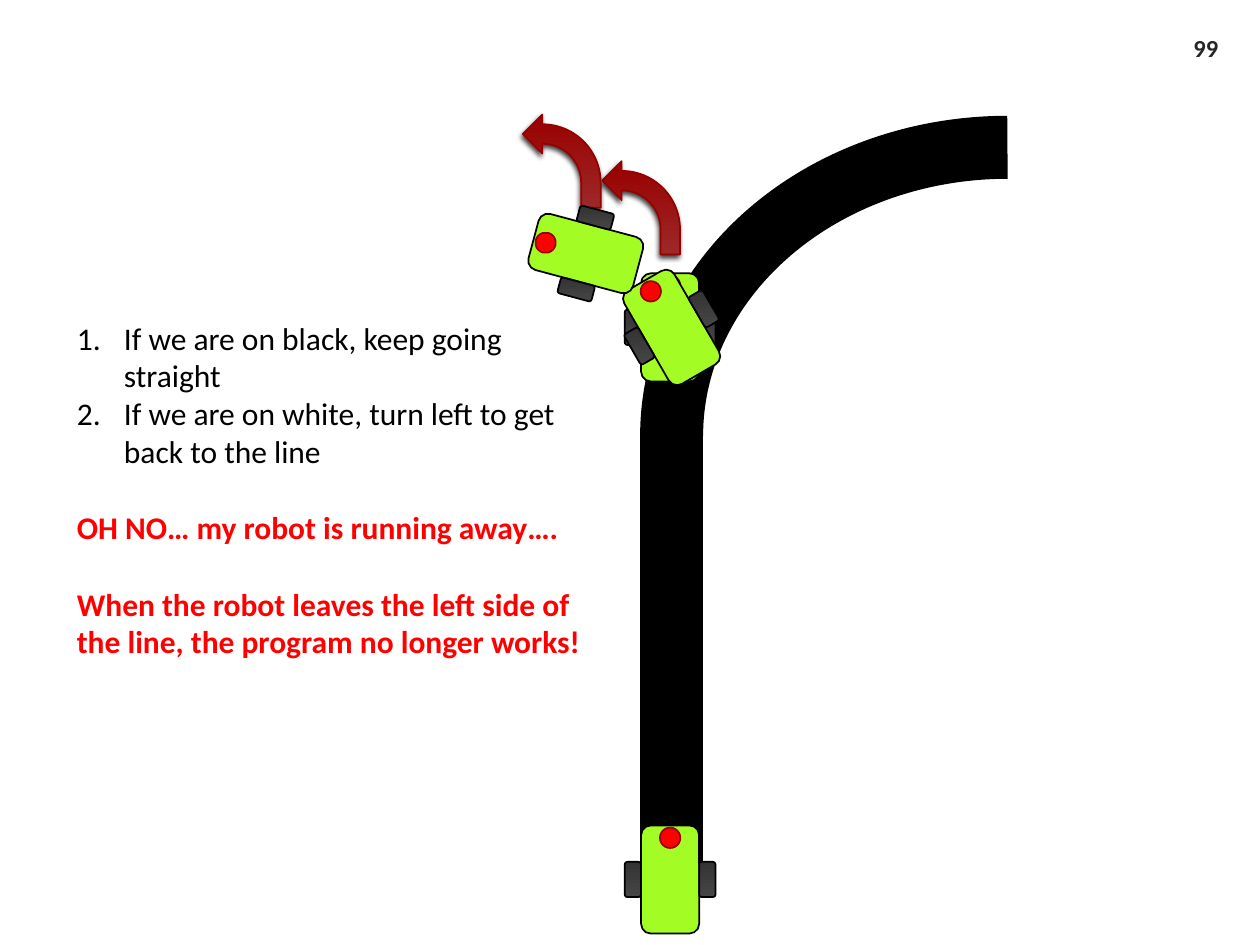
from lxml.etree import SubElement
from pptx import Presentation
from pptx.dml.color import RGBColor
from pptx.enum.shapes import MSO_CONNECTOR as CONN, MSO_SHAPE as SHAPE
from pptx.enum.text import MSO_ANCHOR as ANCHOR, MSO_AUTO_SIZE as AUTO, PP_ALIGN as ALIGN
from pptx.oxml.ns import qn
from pptx.util import Cm, Pt

BLACK = RGBColor(0x00, 0x00, 0x00)
RED = RGBColor(0xFF, 0x00, 0x00)
DARK_RED = RGBColor(0x96, 0x00, 0x00)
GREEN = RGBColor(0xA3, 0xFC, 0x24)
GREY = RGBColor(0x26, 0x26, 0x26)
WHEEL = (RGBColor(0x46, 0x46, 0x46), RGBColor(0x33, 0x33, 0x33))
ARROW = (RGBColor(0x9D, 0x28, 0x28), RGBColor(0x99, 0x00, 0x00))

TRACK_X = 13.54
ROBOTS = [(13.51, 17.73, 0), (13.51, 6.6, 0), (13.54, 6.6, 330), (11.81, 5.11, 285)]
TURNS = [(12.14, 3.25), (10.54, 2.31)]
RULES = [
    "If we are on black, keep going straight",
    "If we are on white, turn left to get back to the line",
]
WARNINGS = [
    "OH NO… my robot is running away….",
    "When the robot leaves the left side of the line, the program no longer works!",
]


def set_format(target, **values):
    for name, value in values.items():
        setattr(target, name, value)


def add_shape(shapes, kind, x, y, w, h, fill=None, line=BLACK, weight=1):
    sp = shapes.add_shape(kind, Cm(x), Cm(y), Cm(w), Cm(h))
    sp.shadow.inherit = False
    if fill is None:
        sp.fill.background()
    elif isinstance(fill, RGBColor):
        sp.fill.solid()
        sp.fill.fore_color.rgb = fill
    else:
        sp.fill.gradient()
        sp.fill.gradient_angle = 90
        for stop, color in zip(sp.fill.gradient_stops, fill):
            stop.color.rgb = color
    sp.line.color.rgb = line
    sp.line.width = Pt(weight)
    return sp


def flip(sp):
    sp._element.spPr.find(qn("a:xfrm")).set("flipH", "1")


def add_track(shapes):
    line = shapes.add_connector(CONN.STRAIGHT, Cm(TRACK_X), Cm(17.68), Cm(TRACK_X), Cm(8.74))
    line.line.color.rgb = BLACK
    line.line.width = Pt(36)
    SubElement(line._element.spPr, qn("a:effectLst"))
    flip(add_shape(shapes, SHAPE.ARC, TRACK_X, 2.97, 13.54, 11.63, weight=36))


def add_robot(shapes, cx, cy, angle):
    group = shapes.add_group_shape()

    def add_part(kind, dx, dy, w, h, fill, line=BLACK):
        add_shape(group.shapes, kind, cx + dx - w / 2, cy + dy - h / 2, w, h, fill, line)

    add_part(SHAPE.ROUNDED_RECTANGLE, 0, 0, 1.17, 2.18, GREEN)
    for dx in (0.75, -0.75):
        add_part(SHAPE.ROUNDED_RECTANGLE, dx, 0, 0.33, 0.71, WHEEL)
    add_part(SHAPE.OVAL, 0, -0.84, 0.41, 0.41, RED, DARK_RED)
    group.rotation = angle


def add_turn(shapes, x, y):
    sp = add_shape(shapes, SHAPE.BENT_ARROW, x, y, 1.57, 1.88, ARROW, DARK_RED)
    sp.adjustments[3] = 0.75
    flip(sp)
    effects = sp._element.spPr.find(qn("a:effectLst"))
    shadow = SubElement(effects, qn("a:outerShdw"), blurRad=str(int(Pt(3))),
                        dist=str(int(Pt(2))), dir="6600000", rotWithShape="0")
    color = SubElement(shadow, qn("a:srgbClr"), val=str(BLACK))
    SubElement(color, qn("a:alpha"), val="75000")


def add_text_box(shapes, x, y, w, h, **frame):
    tf = shapes.add_textbox(Cm(x), Cm(y), Cm(w), Cm(h)).text_frame
    set_format(tf, word_wrap=True, **frame)
    return tf


def write(p, text, color, **font):
    r = p.add_run()
    r.text = text
    set_format(r.font, name="Calibri", **font)
    r.font.color.rgb = color


def number(p):
    pPr = p._p.get_or_add_pPr()
    pPr.set("marL", str(int(Cm(0.95))))
    pPr.set("indent", str(int(Cm(-0.95))))
    SubElement(pPr, qn("a:buFont"), typeface="+mj-lt")
    SubElement(pPr, qn("a:buAutoNum"), type="arabicPeriod")


def add_notes(shapes):
    tf = add_text_box(shapes, 1.3, 6.3, 10.72, 8.71, auto_size=AUTO.SHAPE_TO_FIT_TEXT)
    for i, text in enumerate(RULES):
        p = tf.add_paragraph() if i else tf.paragraphs[0]
        number(p)
        write(p, text, BLACK, size=Pt(18))
    for text in WARNINGS:
        p = tf.add_paragraph()
        p.space_before = Pt(22)
        write(p, text, RED, size=Pt(18), bold=True)


def add_page_number(shapes):
    tf = add_text_box(shapes, 23.06, 0.46, 1.75, 0.99, vertical_anchor=ANCHOR.MIDDLE)
    p = tf.paragraphs[0]
    p.alignment = ALIGN.RIGHT
    write(p, "99", GREY, size=Pt(14), bold=True)


def main():
    prs = Presentation()
    set_format(prs, slide_width=Cm(25.4), slide_height=Cm(19.05))
    s = prs.slides.add_slide(prs.slide_layouts[6])
    start, straight, turned, lost = ROBOTS
    add_track(s.shapes)
    add_robot(s.shapes, *start)
    add_robot(s.shapes, *straight)
    for turn, robot in zip(TURNS, (turned, lost)):
        add_turn(s.shapes, *turn)
        add_robot(s.shapes, *robot)
    add_notes(s.shapes)
    add_page_number(s.shapes)
    prs.save("out.pptx")


if __name__ == "__main__":
    main()
